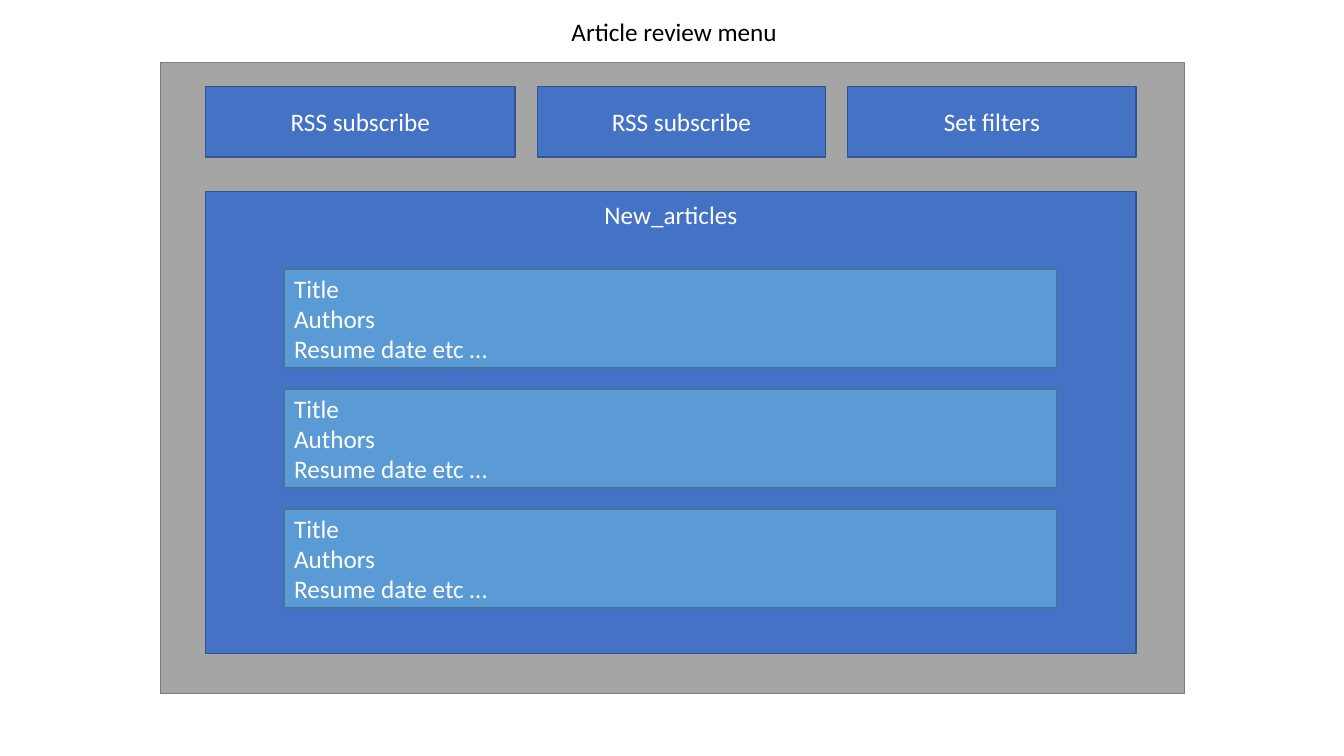
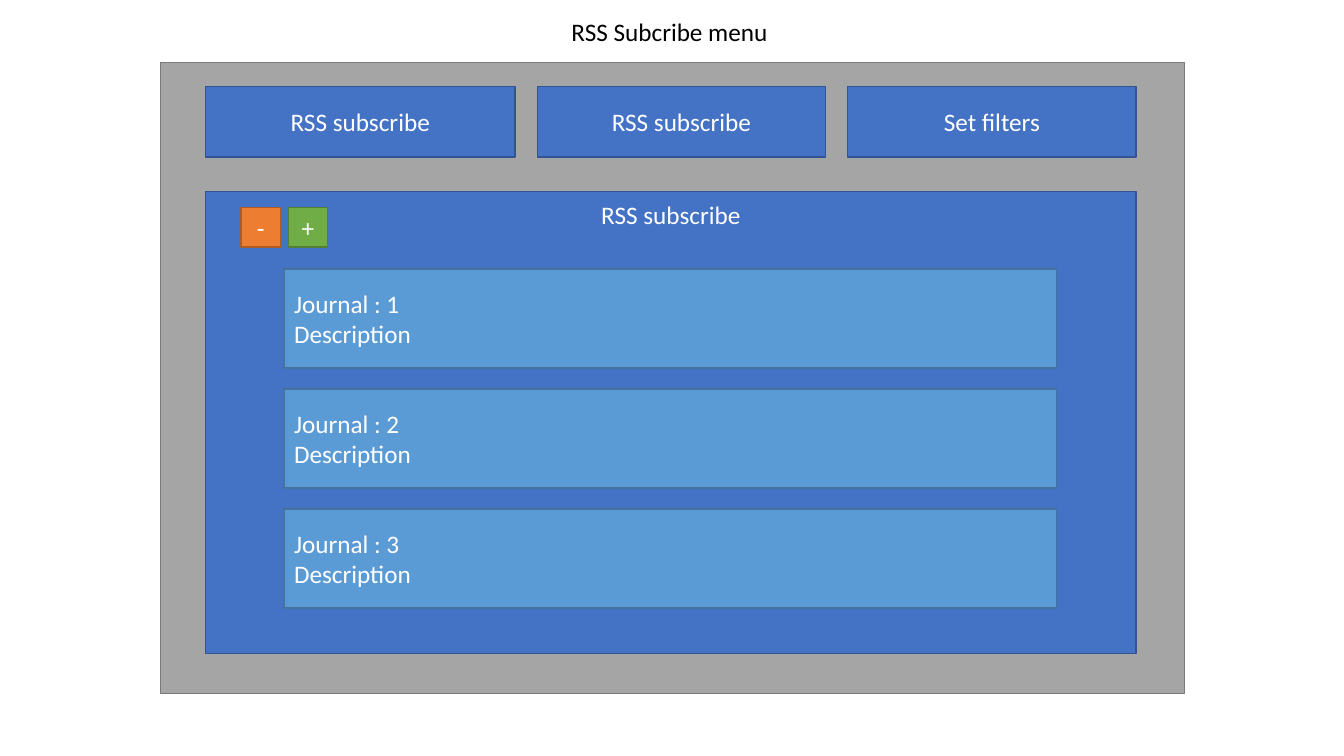
"""Build two wireframe slides of an article reader: review menu and subscribe menu."""
from pptx import Presentation
from pptx.dml.color import RGBColor
from pptx.enum.shapes import MSO_SHAPE
from pptx.enum.text import MSO_ANCHOR, MSO_AUTO_SIZE, PP_ALIGN
from pptx.util import Pt

GRAY = ("A5A5A5", "7A7A7A")
BLUE = ("4472C4", "325491")
LIGHT_BLUE = ("5B9BD5", "43739E")
ORANGE = ("ED7D31", "AF5C24")
GREEN = ("70AD47", "538035")
WHITE, BLACK = "FFFFFF", "000000"

LEFT, PANEL_WIDTH = 146.9, 664.6
BUTTONS = [("RSS subscribe", 221), ("RSS subscribe", 205.9), ("Set filters", 205.9)]
BUTTON_GAP = 15.9
CARD_TOP, CARD_STEP = 192.2, 85.7
SIGN_LEFT, SIGN_STEP, SIGN_SIZE = 172.1, 33.8, 28.1

MENUS = [
    {
        "title": "Article review menu",
        "title_width": 162.7,
        "heading": "New_articles",
        "cards": [["Title", "Authors", "Resume date etc …"]] * 3,
        "signs": [],
    },
    {
        "title": "RSS Subcribe menu",
        "title_width": 156.2,
        "heading": "RSS subscribe",
        "cards": [[f"Journal : {number} ", "Description"] for number in (1, 2, 3)],
        "signs": [("-", ORANGE), ("+", GREEN)],
    },
]


def write(shape, lines, color=WHITE, align=PP_ALIGN.CENTER, **frame_format):
    frame = shape.text_frame
    frame.text = "\n".join(lines)
    values = {"word_wrap": True, "auto_size": MSO_AUTO_SIZE.NONE,
              "vertical_anchor": MSO_ANCHOR.MIDDLE, **frame_format}
    for name, value in values.items():
        setattr(frame, name, value)
    for paragraph in frame.paragraphs:
        paragraph.alignment = align
        font = paragraph.runs[0].font
        for name, value in {"name": "Calibri", "size": Pt(18)}.items():
            setattr(font, name, value)
        font.color.rgb = RGBColor.from_string(color)


def add_box(slide, bounds, colors, lines=(), align=PP_ALIGN.CENTER):
    shape = slide.shapes.add_shape(MSO_SHAPE.RECTANGLE, *map(Pt, bounds))
    shape.shadow.inherit = False
    shape.fill.solid()
    shape.fill.fore_color.rgb = RGBColor.from_string(colors[0])
    shape.line.color.rgb = RGBColor.from_string(colors[1])
    shape.line.width = Pt(1)
    if lines:
        write(shape, lines, align=align)


presentation = Presentation()
presentation.slide_width, presentation.slide_height = Pt(960), Pt(540)

for menu in MENUS:
    slide = presentation.slides.add_slide(presentation.slide_layouts[5])
    title = slide.shapes.title
    bounds = {"left": 401, "top": 7.9, "width": menu["title_width"], "height": 29}
    for name, value in bounds.items():
        setattr(title, name, Pt(value))
    write(title, [menu["title"]], BLACK, PP_ALIGN.LEFT,
          word_wrap=False, vertical_anchor=MSO_ANCHOR.TOP)

    add_box(slide, (114.5, 44.6, 731.5, 450.7), GRAY)
    add_box(slide, (LEFT, 136.8, PANEL_WIDTH, 329.8), BLUE)
    heading = slide.shapes.add_textbox(Pt(LEFT), Pt(139), Pt(PANEL_WIDTH), Pt(29))
    write(heading, [menu["heading"]], vertical_anchor=MSO_ANCHOR.TOP)

    button_left = LEFT
    for label, width in BUTTONS:
        add_box(slide, (button_left, 61.9, width, 50.4), BLUE, [label])
        button_left += width + BUTTON_GAP

    for row, lines in enumerate(menu["cards"]):
        card_top = CARD_TOP + row * CARD_STEP
        add_box(slide, (203, card_top, 551.5, 70.6), LIGHT_BLUE, lines, PP_ALIGN.LEFT)

    for column, (sign, colors) in enumerate(menu["signs"]):
        sign_left = SIGN_LEFT + column * SIGN_STEP
        add_box(slide, (sign_left, 148.3, SIGN_SIZE, SIGN_SIZE), colors, [sign])

presentation.save("out.pptx")
